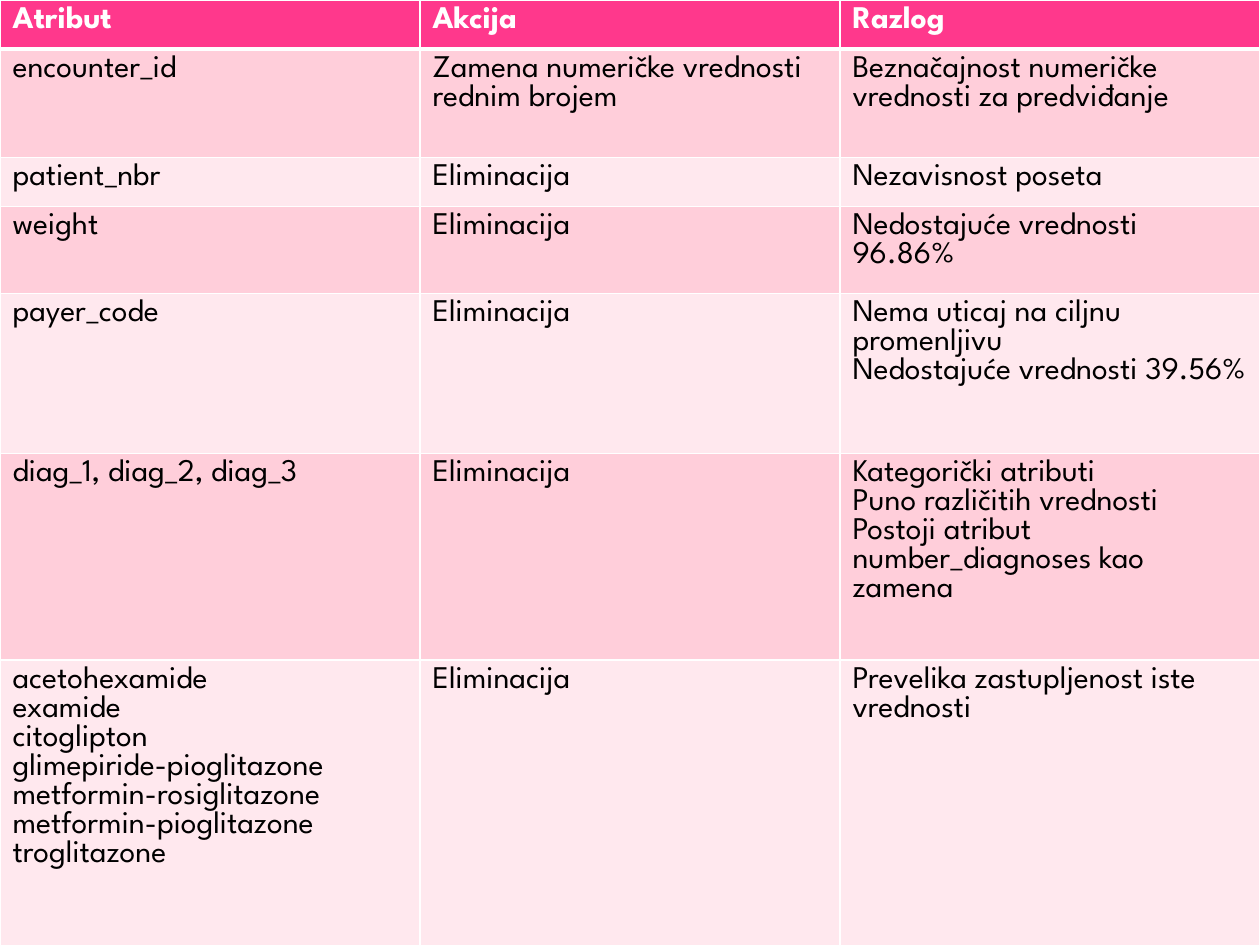
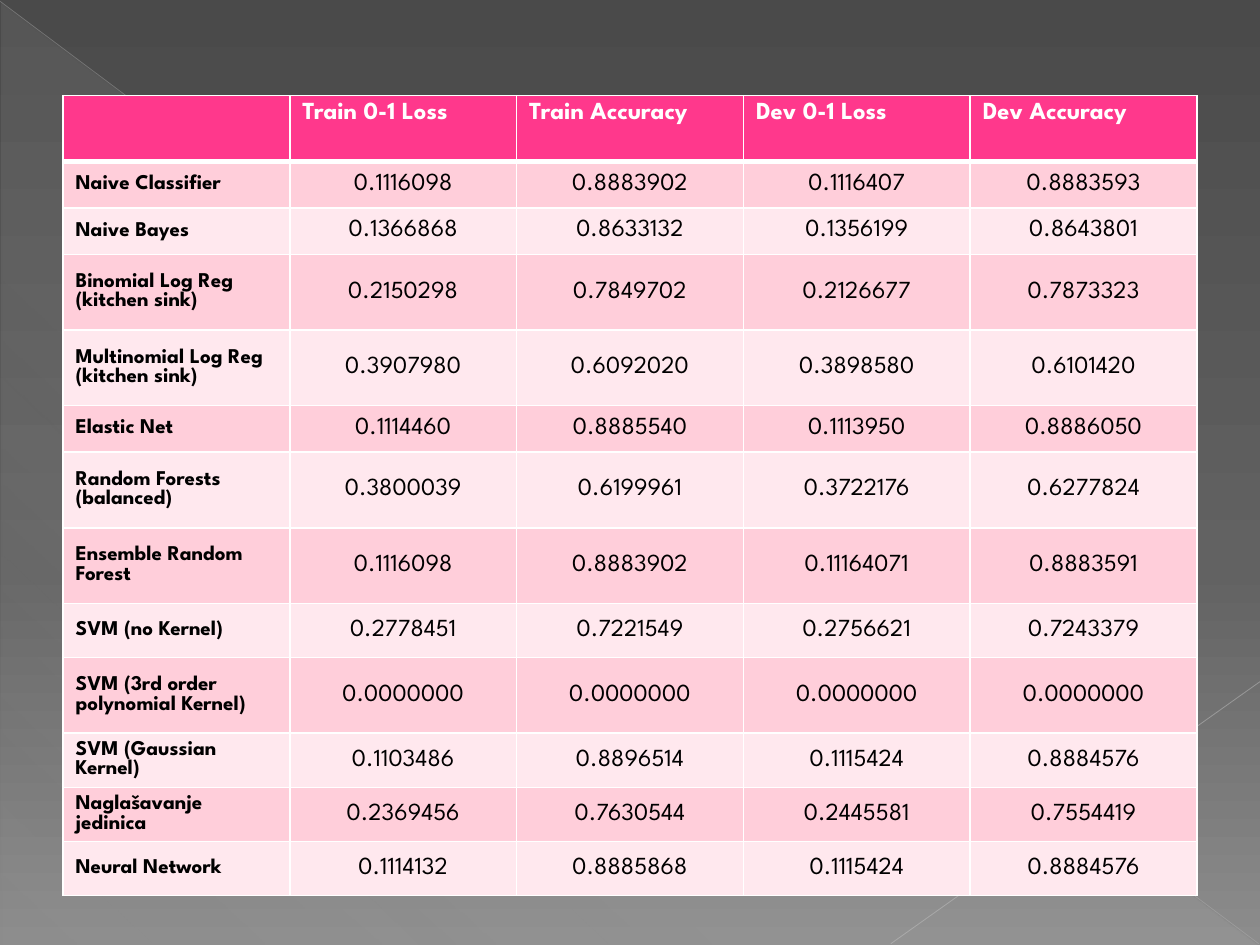
"""Two table slides on a dark gradient backdrop."""
from lxml import etree
from pptx import Presentation
from pptx.dml.color import RGBColor
from pptx.enum import shapes, text
from pptx.oxml import ns
from pptx.util import Inches, Pt

FONT = "League Spartan"
WHITE = RGBColor(0xFF, 0xFF, 0xFF)
BLACK = RGBColor(0x00, 0x00, 0x00)
PINK = RGBColor(0xFF, 0x38, 0x8C)
BANDS = (RGBColor(0xFF, 0xCE, 0xDA), RGBColor(0xFF, 0xE8, 0xEE))
DARK_GREY = RGBColor(0x4A, 0x4A, 0x4A)
MID_GREY = RGBColor(0x62, 0x62, 0x62)
LIGHT_GREY = RGBColor(0x8C, 0x8C, 0x8C)
GLASS = RGBColor(0xD2, 0xD2, 0xD2)
DIAGONAL_GREY = RGBColor(0xBF, 0xBF, 0xBF)
CORNER_GREY = RGBColor(0xC6, 0xC6, 0xC6)

SLIDE_WIDTH, SLIDE_HEIGHT = 10, 7.5

HEADER = {"size": Pt(18), "bold": True, "color": WHITE}
BODY = {"size": Pt(18), "bold": False, "color": BLACK}
SCORE_HEADER = {**HEADER, "size": Pt(14)}
MODEL_NAME = {"size": Pt(12), "bold": True, "color": BLACK,
              "anchor": text.MSO_ANCHOR.MIDDLE}
SCORE = {"size": Pt(14), "bold": False, "color": BLACK,
         "anchor": text.MSO_ANCHOR.MIDDLE, "alignment": text.PP_ALIGN.CENTER}

ATTRIBUTE_ROWS = [
    ("Atribut", "Akcija", "Razlog"),
    ("encounter_id", "Zamena numeričke vrednosti rednim brojem",
     "Beznačajnost numeričke vrednosti za predviđanje"),
    ("patient_nbr", "Eliminacija", "Nezavisnost poseta"),
    ("weight", "Eliminacija", "Nedostajuće vrednosti 96.86%"),
    ("payer_code", "Eliminacija",
     "Nema uticaj na ciljnu promenljivu\nNedostajuće vrednosti 39.56%"),
    ("diag_1, diag_2, diag_3", "Eliminacija",
     "Kategorički atributi\nPuno različitih vrednosti\n"
     "Postoji atribut number_diagnoses kao zamena"),
    ("acetohexamide\nexamide\ncitoglipton\nglimepiride-pioglitazone\n"
     "metformin-rosiglitazone\nmetformin-pioglitazone\ntroglitazone",
     "Eliminacija", "Prevelika zastupljenost iste vrednosti"),
]
ATTRIBUTE_HEIGHTS = [0.39, 0.86, 0.39, 0.69, 1.27, 1.64, 2.67]

SCORE_ROWS = [
    ("", "Train 0-1 Loss", "Train Accuracy", "Dev 0-1 Loss", "Dev Accuracy"),
    ("Naive Classifier", "0.1116098", "0.8883902", "0.1116407", "0.8883593"),
    ("Naive Bayes", "0.1366868", "0.8633132", "0.1356199", "0.8643801"),
    ("Binomial Log Reg (kitchen sink)",
     "0.2150298", "0.7849702", "0.2126677", "0.7873323"),
    ("Multinomial Log Reg (kitchen sink)",
     "0.3907980", "0.6092020", "0.3898580", "0.6101420"),
    ("Elastic Net", "0.1114460", "0.8885540", "0.1113950", "0.8886050"),
    ("Random Forests (balanced)",
     "0.3800039", "0.6199961", "0.3722176", "0.6277824"),
    ("Ensemble Random Forest",
     "0.1116098", "0.8883902", "0.11164071", "0.8883591"),
    ("SVM (no Kernel)", "0.2778451", "0.7221549", "0.2756621", "0.7243379"),
    ("SVM (3rd order polynomial Kernel)",
     "0.0000000", "0.0000000", "0.0000000", "0.0000000"),
    ("SVM (Gaussian Kernel)",
     "0.1103486", "0.8896514", "0.1115424", "0.8884576"),
    ("Naglašavanje jedinica",
     "0.2369456", "0.7630544", "0.2445581", "0.7554419"),
    ("Neural Network", "0.1114132", "0.8885868", "0.1115424", "0.8884576"),
]
SHORT, MEDIUM, TALL = 0.37, 0.43, 0.6
SCORE_HEIGHTS = [0.52, SHORT, SHORT, TALL, TALL, SHORT, TALL, TALL,
                 MEDIUM, TALL, MEDIUM, MEDIUM, MEDIUM]


def add_child(parent, tag, **attributes):
    """Append an XML element such as a:gs and return it."""
    child = etree.SubElement(parent, ns.qn(tag))
    for name, value in attributes.items():
        child.set(name, str(value))
    return child


def add_color(parent, color, opacity=100):
    """Append a colour with its opacity in percent."""
    node = add_child(parent, "a:srgbClr", val=color)
    if opacity < 100:
        add_child(node, "a:alpha", val=opacity * 1000)


def set_gradient(fill, element, stops, angle):
    """Fill with (position, colour, opacity) stops along an angle."""
    fill.gradient()
    gradient = element.find(".//" + ns.qn("a:gradFill"))
    for child in list(gradient):
        gradient.remove(child)
    stop_list = add_child(gradient, "a:gsLst")
    for position, color, opacity in stops:
        stop = add_child(stop_list, "a:gs", pos=position * 1000)
        add_color(stop, color, opacity)
    add_child(gradient, "a:lin", ang=angle * 60000, scaled=0)


def add_line(slide, start, end, color, width, opacity):
    """Draw a thin translucent line and return it."""
    points = [Inches(value) for value in (*start, *end)]
    line = slide.shapes.add_connector(shapes.MSO_CONNECTOR.STRAIGHT, *points)
    line.line.color.rgb = color
    line.line.width = Pt(width)
    properties = line.element.spPr
    node = properties.find(".//" + ns.qn("a:srgbClr"))
    add_child(node, "a:alpha", val=opacity * 1000)
    add_child(properties, "a:effectLst")
    return line


def add_triangle(slide):
    """Draw the pale translucent triangle and return it."""
    triangle = slide.shapes.add_shape(
        shapes.MSO_SHAPE.RIGHT_TRIANGLE,
        Inches(0.01), Inches(0.02), Inches(9.98), Inches(7.48))
    triangle.shadow.inherit = False
    triangle.line.fill.background()
    set_gradient(triangle.fill, triangle.element.spPr,
                 [(0, GLASS, 10), (70, GLASS, 8), (100, GLASS, 1)], 133)
    return triangle


def build_backdrop(layout, slide):
    """Give the layout its gradient, triangle and lines for all slides."""
    for placeholder in list(layout.placeholders):
        layout.shapes.element.remove(placeholder.element)
    set_gradient(layout.background.fill, layout.element,
                 [(0, DARK_GREY, 100), (60, MID_GREY, 100),
                  (100, LIGHT_GREY, 100)], 90)
    decorations = [
        add_triangle(slide),
        add_line(slide, (0, 0.01), (9.99, 7.49), DIAGONAL_GREY, 0.39, 35),
        add_line(slide, (10, 5.41), (7.07, 7.49), CORNER_GREY, 0.47, 45),
    ]
    for shape in decorations:
        layout.shapes.element.append(shape.element)


def set_borders(cell, top, bottom):
    """Draw white borders; top and bottom widths are in points."""
    properties = cell._tc.get_or_add_tcPr()
    widths = {"a:lnL": 1, "a:lnR": 1, "a:lnT": top, "a:lnB": bottom}
    for index, (tag, width) in enumerate(widths.items()):
        border = add_child(properties, tag, w=Pt(width))
        add_color(add_child(border, "a:solidFill"), WHITE)
        properties.insert(index, border)


def fill_cell(cell, content, style):
    """Write the paragraphs of a cell in the given style."""
    cell.vertical_anchor = style.get("anchor", text.MSO_ANCHOR.TOP)
    cell.text_frame.text = content
    for paragraph in cell.text_frame.paragraphs:
        paragraph.alignment = style.get("alignment", text.PP_ALIGN.LEFT)
        font_values = {"name": FONT, "size": style["size"],
                       "bold": style["bold"]}
        for name, value in font_values.items():
            setattr(paragraph.font, name, value)
            for run in paragraph.runs:
                setattr(run.font, name, value)
        for run in paragraph.runs:
            run.font.color.rgb = style["color"]


def add_banded_table(slide, rows, heights, box, header, first, others):
    """Add a pink-headed table; box is left, top and width in inches."""
    left, top, width = box
    columns = len(rows[0])
    table = slide.shapes.add_table(
        len(rows), columns, Inches(left), Inches(top),
        Inches(width), Inches(sum(heights))).table
    for column in table.columns:
        column.width = Inches(width / columns)
    for row_index, (row, height) in enumerate(zip(rows, heights)):
        table.rows[row_index].height = Inches(height)
        for column_index, content in enumerate(row):
            cell = table.cell(row_index, column_index)
            body = others if column_index else first
            fill_cell(cell, content, body if row_index else header)
            cell.fill.solid()
            cell.fill.fore_color.rgb = (
                BANDS[(row_index - 1) % 2] if row_index else PINK)
            set_borders(cell, top=3 if row_index == 1 else 1,
                        bottom=1 if row_index else 3)


def main():
    """Build and save the presentation."""
    presentation = Presentation()
    presentation.slide_width = Inches(SLIDE_WIDTH)
    presentation.slide_height = Inches(SLIDE_HEIGHT)
    layout = presentation.slide_layouts[6]

    attributes = presentation.slides.add_slide(layout)
    build_backdrop(layout, attributes)
    add_banded_table(attributes, ATTRIBUTE_ROWS, ATTRIBUTE_HEIGHTS,
                     (0, 0, SLIDE_WIDTH), HEADER, BODY, BODY)

    scores = presentation.slides.add_slide(layout)
    add_banded_table(scores, SCORE_ROWS, SCORE_HEIGHTS,
                     (0.5, 0.76, 9), SCORE_HEADER, MODEL_NAME, SCORE)

    presentation.save("out.pptx")


main()
